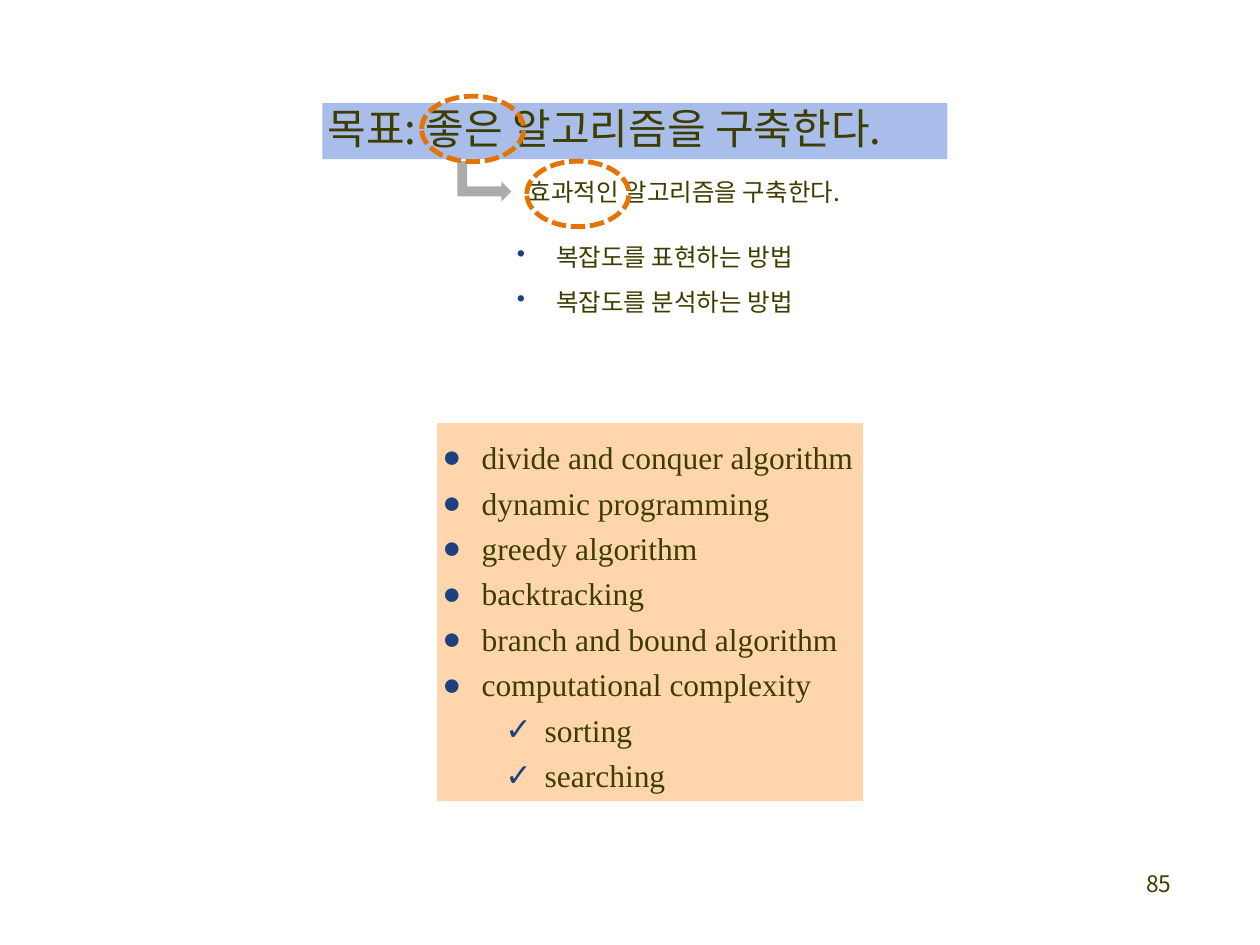
"""Build the summary slide on the goal of constructing good algorithms."""
from lxml import etree
from pptx import Presentation
from pptx.dml.color import RGBColor
from pptx.enum import dml, shapes, text
from pptx.oxml import ns
from pptx.util import Cm, Pt

COLORS = {
    "text": "3E3D00",
    "bullet": "1F407E",
    "band": "A8BDEA",
    "panel": "FFD5AC",
    "arrow": "ACACAC",
    "ring": "E47300",
}
KOREAN = "Noto Sans CJK KR"
LATIN = "Times New Roman"
ALGORITHMS = [
    "divide and conquer algorithm",
    "dynamic programming",
    "greedy algorithm",
    "backtracking",
    "branch and bound algorithm",
    "computational complexity",
]
PROBLEMS = ["sorting", "searching"]
METHODS = ["복잡도를 표현하는 방법", "복잡도를 분석하는 방법"]
ARROW = [(9.42, 3.25), (9.22, 3.25), (9.22, 3.96), (10.11, 3.96), (10.11, 4.06),
         (10.31, 3.86), (10.11, 3.66), (10.11, 3.76), (9.42, 3.76)]
RINGS = [(8.5, 1.94), (10.62, 3.25)]


def color(name):
    return RGBColor.from_string(COLORS[name])


def paint(box, name):
    box.fill.solid()
    box.fill.fore_color.rgb = color(name)


def place(box, left, top, width, height):
    box.left, box.top, box.width, box.height = (
        Cm(value) for value in (left, top, width, height))


def prepare_frame(box, left=0, top=0):
    frame = box.text_frame
    frame.auto_size = text.MSO_AUTO_SIZE.NONE
    frame.word_wrap = True
    frame.vertical_anchor = text.MSO_ANCHOR.TOP
    frame.margin_left, frame.margin_top = Cm(left), Cm(top)
    frame.margin_right = frame.margin_bottom = 0
    return frame


def add_bullet(para, mark, indent):
    properties = para._p.get_or_add_pPr()
    properties.set("marL", str(Cm(indent)))
    properties.set("indent", str(Cm(-0.79)))
    tint = etree.SubElement(properties, ns.qn("a:buClr"))
    etree.SubElement(tint, ns.qn("a:srgbClr"), val=COLORS["bullet"])
    etree.SubElement(properties, ns.qn("a:buChar"), char=mark)


def add_para(frame, words, size, font, before=0, mark=None, indent=0, line=None):
    first = not frame.paragraphs[0].runs
    para = frame.paragraphs[0] if first else frame.add_paragraph()
    if mark:
        add_bullet(para, mark, indent)
    para.alignment = text.PP_ALIGN.LEFT
    para.space_before = Pt(0 if first else before)
    if line:
        para.line_spacing = Pt(line)
    span = para.add_run()
    span.text = words
    span.font.size = Pt(size)
    span.font.name = font
    span.font.color.rgb = color("text")
    etree.SubElement(span.font._element, ns.qn("a:ea"), typeface=font)
    return para


def add_title(page):
    title = page.shapes.title
    place(title, 6.5, 2.08, 12.6, 1.13)
    paint(title, "band")
    add_para(prepare_frame(title, left=0.1), "목표: 좋은 알고리즘을 구축한다.", 24, KOREAN, line=28.4)


def add_algorithms(page):
    panel = page.placeholders[1]
    place(panel, 8.81, 8.53, 8.59, 7.62)
    paint(panel, "panel")
    frame = prepare_frame(panel, top=0.3)
    for words in ALGORITHMS:
        add_para(frame, words, 18, LATIN, 4.4, "●", 0.9)
    for words in PROBLEMS:
        add_para(frame, words, 18, LATIN, 4.4, "✓", 2.17).level = 1


def add_text_box(page, left, top, width, height, inset=0.0):
    box = page.shapes.add_textbox(Cm(left), Cm(top), Cm(width), Cm(height))
    return prepare_frame(box, top=inset)


def add_methods(page):
    frame = add_text_box(page, 10.36, 3.5, 7.21, 3.18, 0.06)
    heading = add_para(frame, "효과적인 알고리즘을 구축한다.", 14, KOREAN, line=17)
    heading._p.get_or_add_pPr().set("marL", str(Cm(0.3)))
    for words, before in zip(METHODS, (20, 9)):
        add_para(frame, words, 14, KOREAN, before, "•", 0.85, 17)


def add_arrow(page):
    points = [(Cm(x), Cm(y)) for x, y in ARROW]
    builder = page.shapes.build_freeform(*points[0])
    builder.add_line_segments(points[1:], close=True)
    arrow = builder.convert_to_shape()
    arrow.shadow.inherit = False
    paint(arrow, "arrow")
    arrow.line.fill.background()


def add_ring(page, left, top):
    ring = page.shapes.add_shape(
        shapes.MSO_SHAPE.OVAL, Cm(left), Cm(top), Cm(2.06), Cm(1.32))
    ring.shadow.inherit = False
    ring.fill.background()
    ring.line.color.rgb = color("ring")
    ring.line.width = Pt(2.75)
    ring.line.dash_style = dml.MSO_LINE.SQUARE_DOT


def main():
    deck = Presentation()
    deck.slide_width, deck.slide_height = Cm(25.4), Cm(19.05)
    page = deck.slides.add_slide(deck.slide_layouts[1])
    add_title(page)
    add_arrow(page)
    add_methods(page)
    add_algorithms(page)
    for left, top in RINGS:
        add_ring(page, left, top)
    add_para(add_text_box(page, 23.11, 17.47, 0.8, 0.61, 0.06), "85", 13, KOREAN)
    deck.save("out.pptx")


if __name__ == "__main__":
    main()
